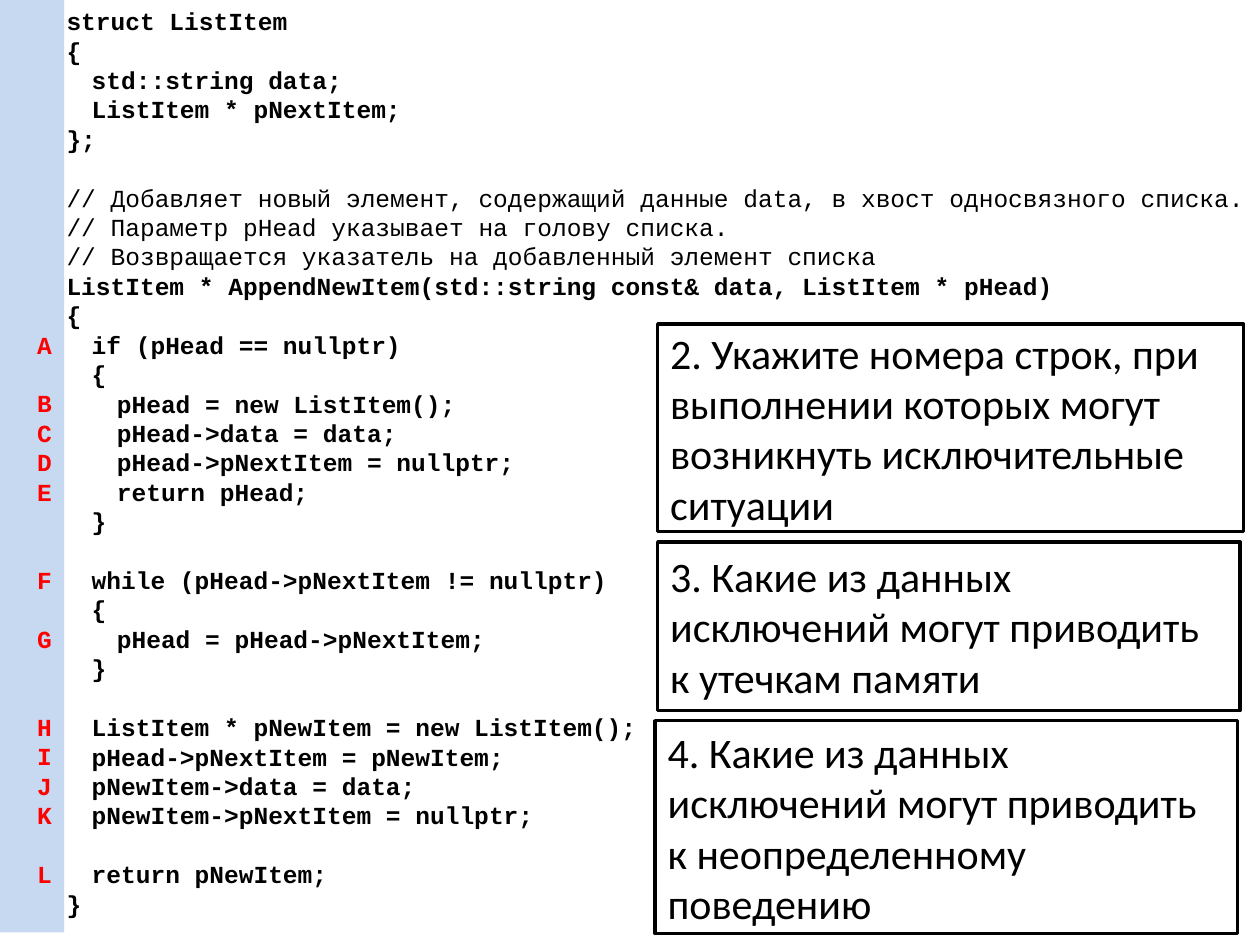
from lxml import etree
from pptx import Presentation
from pptx.dml.color import RGBColor
from pptx.enum.shapes import MSO_SHAPE
from pptx.enum.text import MSO_ANCHOR, PP_ALIGN
from pptx.oxml.ns import qn
from pptx.util import Inches, Pt

RECTANGLE = MSO_SHAPE.RECTANGLE
LEFT, RIGHT = PP_ALIGN.LEFT, PP_ALIGN.RIGHT
TOP, MIDDLE = MSO_ANCHOR.TOP, MSO_ANCHOR.MIDDLE

BLACK, WHITE, RED, PALE_BLUE = "000000", "FFFFFF", "FF0000", "C6D9F1"
CODE_FONT, QUESTION_FONT = "Courier New", "Calibri"
CODE_SIZE, QUESTION_SIZE = 14, 24
ROW = 16.8
INDENT = 0.2
LISTING_HEIGHT = 7.4

# Each row: label in the gutter, line of code
LISTING = [
    ("", "struct ListItem"),
    ("", "{"),
    ("", "\tstd::string data;"),
    ("", "\tListItem * pNextItem;"),
    ("", "};"),
    ("", ""),
    ("", "// Добавляет новый элемент, содержащий данные data, в хвост односвязного списка."),
    ("", "// Параметр pHead указывает на голову списка."),
    ("", "// Возвращается указатель на добавленный элемент списка"),
    ("", "ListItem * AppendNewItem(std::string const& data, ListItem * pHead)"),
    ("", "{"),
    ("A", "\tif (pHead == nullptr)"),
    ("", "\t{"),
    ("B", "\t\tpHead = new ListItem();"),
    ("C", "\t\tpHead->data = data;"),
    ("D", "\t\tpHead->pNextItem = nullptr;"),
    ("E", "\t\treturn pHead;"),
    ("", "\t}"),
    ("", ""),
    ("F", "\twhile (pHead->pNextItem != nullptr)"),
    ("", "\t{"),
    ("G", "\t\tpHead = pHead->pNextItem;"),
    ("", "\t}"),
    ("", ""),
    ("H", "\tListItem * pNewItem = new ListItem();"),
    ("I", "\tpHead->pNextItem = pNewItem;"),
    ("J", "\tpNewItem->data = data;"),
    ("K", "\tpNewItem->pNextItem = nullptr;"),
    ("", ""),
    ("L", "\treturn pNewItem;"),
    ("", "}"),
]

QUESTIONS = [
    ("2. Укажите номера строк, при выполнении которых могут возникнуть "
     "исключительные ситуации", (5.22, 2.57, 4.65, 1.65)),
    ("3. Какие из данных исключений могут приводить к утечкам памяти",
     (5.22, 4.3, 4.62, 1.34)),
    ("4. Какие из данных исключений могут приводить к неопределенному поведению",
     (5.2, 5.72, 4.62, 1.69)),
]


def color(value):
    """Turn a hex string into a colour."""
    return RGBColor.from_string(value)


def style(paragraph, font_name, size, ink, bold=False, align=LEFT):
    """Set the font and alignment of a whole paragraph."""
    paragraph.alignment = align
    font = paragraph.font
    font.name, font.size, font.bold = font_name, Pt(size), bold
    font.color.rgb = color(ink)


def add_tab_stops(paragraph, levels=2):
    """Give a paragraph evenly spaced tab stops for code indents."""
    stops = etree.SubElement(paragraph._p.get_or_add_pPr(), qn("a:tabLst"))
    for level in range(1, levels + 1):
        etree.SubElement(stops, qn("a:tab"),
                         pos=str(Inches(INDENT * level)), algn="l")


def write_rows(frame, rows, ink, align=LEFT):
    """Write code rows on a fixed pitch, turning empty rows into spacing."""
    frame.word_wrap = True
    frame.vertical_anchor = TOP
    filled = [(number, text) for number, text in enumerate(rows) if text]
    first = filled[0][0]
    frame.margin_top = Inches(0.05) + Pt(ROW * first)
    previous = first - 1
    for number, text in filled:
        paragraph = frame.paragraphs[0] if number == first else frame.add_paragraph()
        paragraph.text = text
        if "\t" in text:
            add_tab_stops(paragraph)
        paragraph.line_spacing = Pt(ROW)
        paragraph.space_before = Pt(ROW * (number - previous - 1))
        style(paragraph, CODE_FONT, CODE_SIZE, ink,
              bold=not text.startswith("//"), align=align)
        previous = number


def add_box(slide, place, fill, outline=None):
    """Add a flat rectangle, outlined if a line colour is given."""
    box = slide.shapes.add_shape(RECTANGLE, *map(Inches, place))
    box.shadow.inherit = False
    box.fill.solid()
    box.fill.fore_color.rgb = color(fill)
    if outline:
        box.line.color.rgb = color(outline)
        box.line.width = Pt(2)
    else:
        box.line.fill.background()
    return box


def add_question(slide, question, place):
    """Add an outlined box with one question."""
    frame = add_box(slide, place, WHITE, BLACK).text_frame
    frame.word_wrap = True
    frame.vertical_anchor = MIDDLE
    frame.text = question
    style(frame.paragraphs[0], QUESTION_FONT, QUESTION_SIZE, BLACK)


def main():
    """Build the slide with the code listing and its questions."""
    deck = Presentation()
    deck.slide_width, deck.slide_height = Inches(10), Inches(7.5)
    slide = deck.slides.add_slide(deck.slide_layouts[6])

    labels, code = zip(*LISTING)
    listing = slide.shapes.add_textbox(
        *map(Inches, (0.43, 0, 9.57, LISTING_HEIGHT)))
    write_rows(listing.text_frame, code, BLACK)
    gutter = add_box(slide, (0, 0, 0.51, LISTING_HEIGHT), PALE_BLUE)
    write_rows(gutter.text_frame, labels, RED, RIGHT)

    for question, place in QUESTIONS:
        add_question(slide, question, place)
    deck.save("out.pptx")


main()
